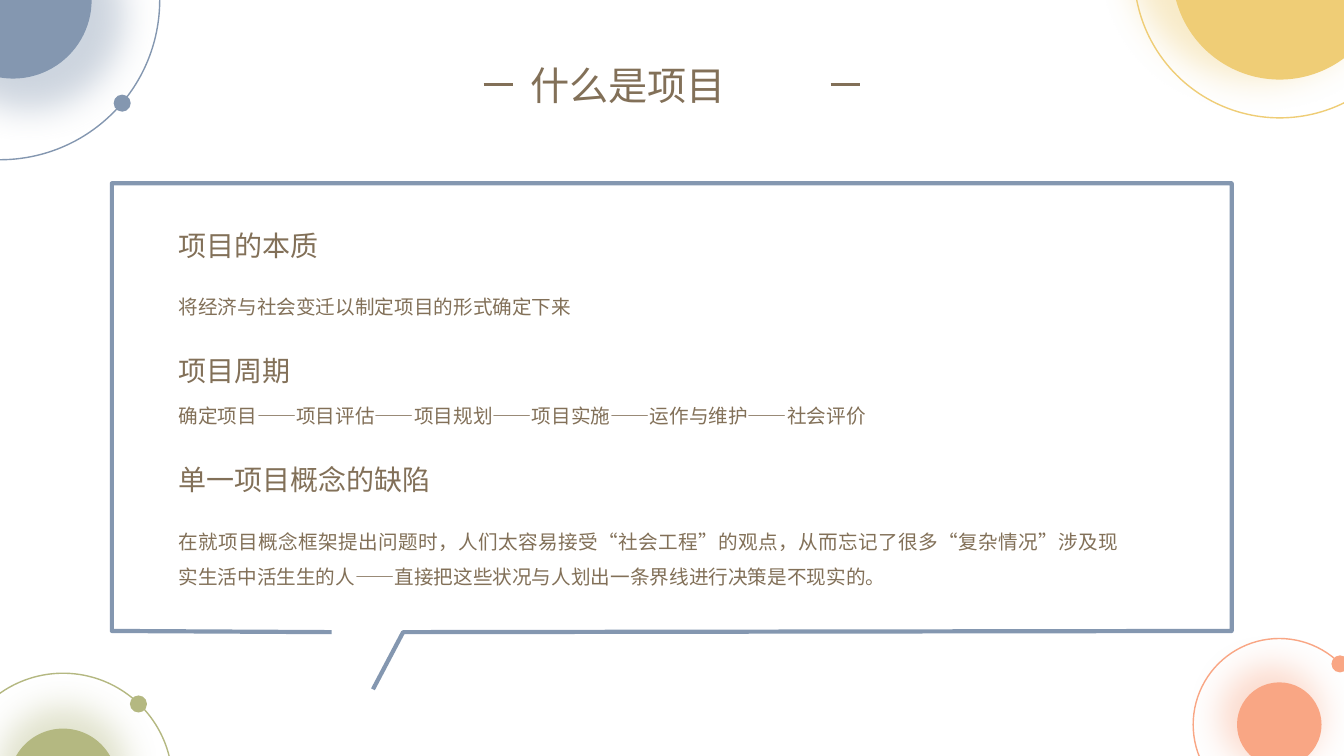
from lxml import etree
from pptx import Presentation
from pptx.dml.color import RGBColor
from pptx.enum.shapes import MSO_CONNECTOR, MSO_SHAPE
from pptx.enum.text import MSO_ANCHOR, MSO_AUTO_SIZE, PP_ALIGN
from pptx.oxml.ns import qn
from pptx.util import Cm, Pt

OVAL = MSO_SHAPE.OVAL
STRAIGHT = MSO_CONNECTOR.STRAIGHT
TOP = MSO_ANCHOR.TOP
GROW = MSO_AUTO_SIZE.SHAPE_TO_FIT_TEXT
JUSTIFY, LEFT = PP_ALIGN.JUSTIFY, PP_ALIGN.LEFT

COLORS = {
    "blue": "8497B0",
    "yellow": "EFCD76",
    "salmon": "F9A684",
    "green": "B4B881",
    "brown": "827058",
}
CJK_FONT = "Noto Sans CJK SC"
BODY_FONT = "Calibri"
TEXT_LEFT = 4.5
DOT_SIZE = 0.43

# colour, disc centre, disc diameter, ring centre, ring diameter, dot centre,
# side of the disc that its glow is aligned to
CORNERS = [
    ("blue", (0.33, 0), 3.96, (0, 0), 8.05, (3.08, 2.6), "tl"),
    ("yellow", (32.25, -0.7), 5.41, (32.25, -0.7), 7.34, None, "br"),
    ("salmon", (32.24, 18.26), 2.13, (32.24, 18.26), 4.34, (33.77, 16.73), "br"),
    ("green", (1.59, 19.72), 2.72, (1.59, 19.72), 5.51, (3.49, 17.74), "b"),
]

BUBBLE = [(8.36, 15.93), (2.82, 15.9), (2.82, 4.62), (31.04, 4.62),
          (31.04, 15.9), (10.16, 15.93), (9.4, 17.37)]

# heading, heading top, body, body top, body width, body height
SECTIONS = [
    ("项目的本质", 5.77,
     "将经济与社会变迁以制定项目的形式确定下来", 7.14, 10.67, 0.9),
    ("项目周期", 8.92,
     "确定项目——项目评估——项目规划——项目实施——运作与维护——社会评价",
     9.88, 17.83, 0.9),
    ("单一项目概念的缺陷", 11.66,
     "在就项目概念框架提出问题时，人们太容易接受“社会工程”的观点，"
     "从而忘记了很多“复杂情况”涉及现实生活中活生生的人——"
     "直接把这些状况与人划出一条界线进行决策是不现实的。", 13.06, 23.7, 1.8),
]


def rgb(name):
    return RGBColor.from_string(COLORS[name])


def add_circle(slide, center, diameter):
    x, y = (value - diameter / 2 for value in center)
    circle = slide.shapes.add_shape(OVAL, Cm(x), Cm(y), Cm(diameter), Cm(diameter))
    circle.shadow.inherit = False
    return circle


def add_disc(slide, center, diameter, color):
    disc = add_circle(slide, center, diameter)
    disc.fill.solid()
    disc.fill.fore_color.rgb = rgb(color)
    disc.line.fill.background()
    return disc


def add_ring(slide, center, diameter, color):
    ring = add_circle(slide, center, diameter)
    ring.fill.background()
    ring.line.color.rgb = rgb(color)
    ring.line.width = Pt(1)


def add_glow(disc, color, side):
    """Give the disc a soft, enlarged shadow in its own colour."""
    effects = disc._element.spPr.find(qn("a:effectLst"))
    shadow = etree.SubElement(
        effects, qn("a:outerShdw"), blurRad=str(Pt(25)), dist="0", dir="0",
        sx="120000", sy="120000", algn=side, rotWithShape="0")
    tint = etree.SubElement(shadow, qn("a:srgbClr"), val=COLORS[color])
    etree.SubElement(tint, qn("a:alpha"), val="40000")


def add_corner(slide, color, disc_center, disc_size, ring_center, ring_size, dot, side):
    add_glow(add_disc(slide, disc_center, disc_size, color), color, side)
    add_ring(slide, ring_center, ring_size, color)
    if dot:
        add_disc(slide, dot, DOT_SIZE, color)


def write_text(frame, text, size, font, align, spacing=None):
    frame.word_wrap = True
    frame.auto_size = GROW
    frame.vertical_anchor = TOP
    paragraph = frame.paragraphs[0]
    paragraph.text = text
    paragraph.alignment = align
    paragraph.line_spacing = spacing
    paragraph.font.size = Pt(size)
    paragraph.font.name = font
    paragraph.font.color.rgb = rgb("brown")
    defaults = paragraph._p.pPr.find(qn("a:defRPr"))
    etree.SubElement(defaults, qn("a:ea"), typeface=CJK_FONT)


def add_text(slide, top, width, height, *text_format):
    box = slide.shapes.add_textbox(Cm(TEXT_LEFT), Cm(top), Cm(width), Cm(height))
    frame = box.text_frame
    frame.margin_left = frame.margin_right = 0
    frame.margin_top = frame.margin_bottom = 0
    write_text(frame, *text_format)


def add_title(slide, text):
    title = slide.shapes.title
    title.left, title.top = Cm(13.11), Cm(1.42)
    title.width, title.height = Cm(7.65), Cm(1.45)
    write_text(title.text_frame, text, 28, CJK_FONT, JUSTIFY, 1.0)


def add_dash(slide, left):
    dash = slide.shapes.add_connector(
        STRAIGHT, Cm(left), Cm(2.13), Cm(left + 0.74), Cm(2.13))
    dash.line.color.rgb = rgb("brown")
    dash.line.width = Pt(2)
    etree.SubElement(dash._element.spPr, qn("a:effectLst"))


def add_bubble(slide):
    start, *others = [(Cm(x), Cm(y)) for x, y in BUBBLE]
    builder = slide.shapes.build_freeform(*start)
    builder.add_line_segments(others, close=False)
    bubble = builder.convert_to_shape()
    bubble.shadow.inherit = False
    bubble.fill.background()
    bubble.line.color.rgb = rgb("blue")
    bubble.line.width = Pt(3)


def main():
    deck = Presentation()
    deck.slide_width, deck.slide_height = Cm(33.87), Cm(19.05)
    slide = deck.slides.add_slide(deck.slide_layouts[5])
    for corner in CORNERS:
        add_corner(slide, *corner)
    add_title(slide, "什么是项目")
    for left in (12.19, 20.93):
        add_dash(slide, left)
    add_bubble(slide)
    for heading, heading_top, body, body_top, width, height in SECTIONS:
        add_text(slide, heading_top, 7.65, 0.86, heading, 20, CJK_FONT, LEFT)
        add_text(slide, body_top, width, height, body, 14, BODY_FONT, JUSTIFY, 1.5)
    deck.save("out.pptx")


if __name__ == "__main__":
    main()
